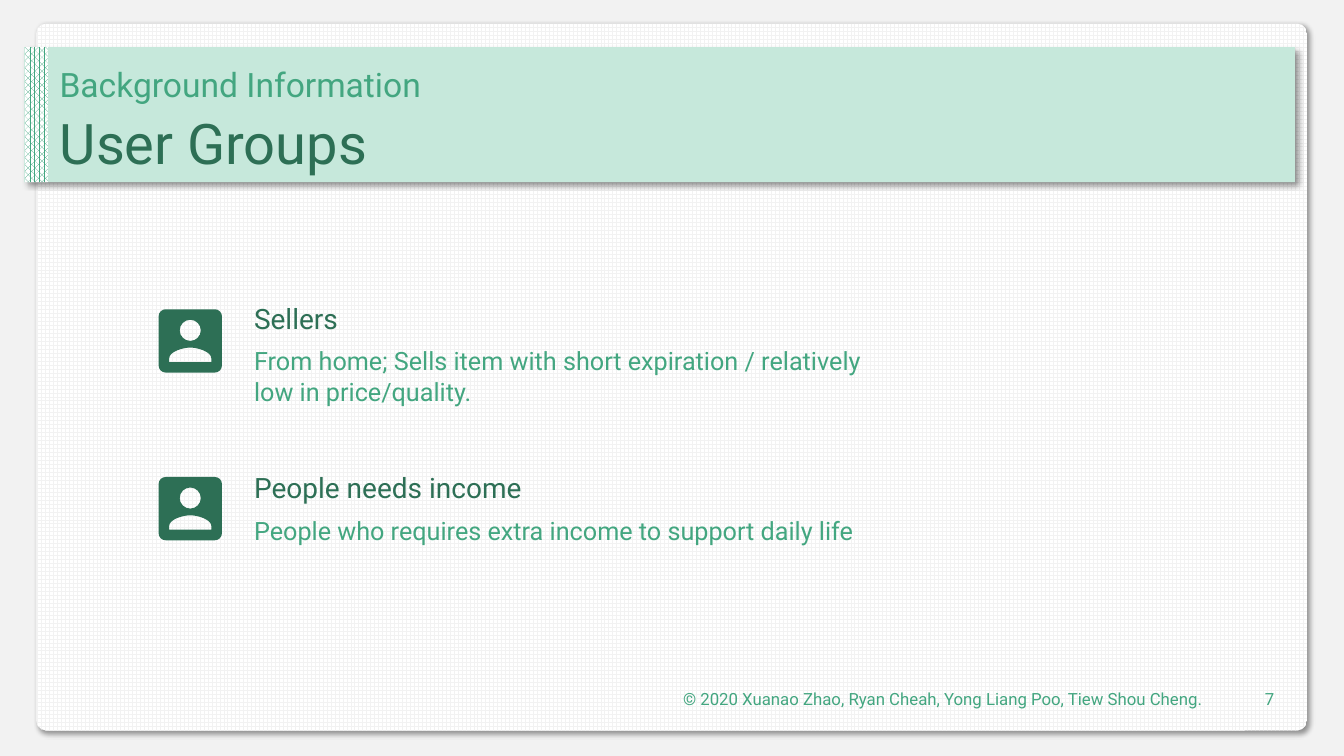
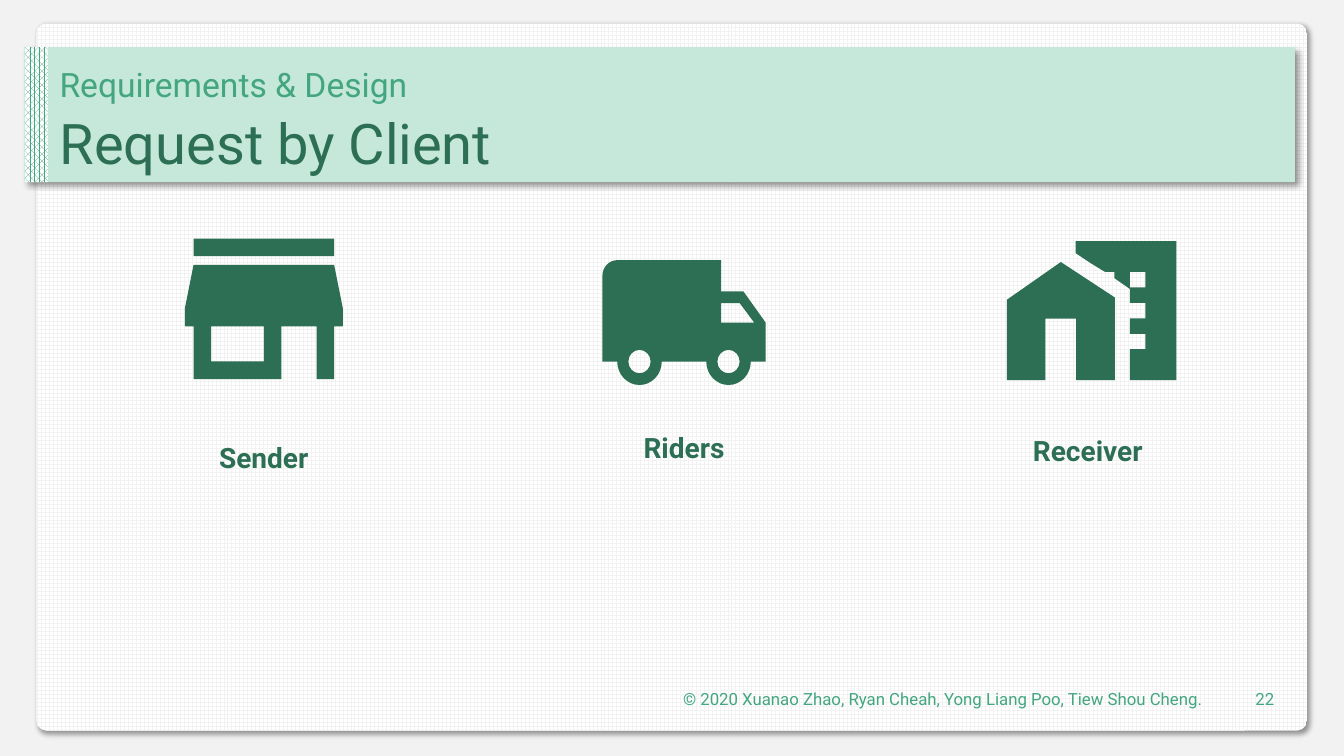
import math

import pptx
import pptx.dml.color
import pptx.enum.dml
import pptx.enum.shapes
import pptx.enum.text
import pptx.oxml
import pptx.oxml.ns
import pptx.util

Pt = pptx.util.Pt
qn = pptx.oxml.ns.qn
ALIGN = pptx.enum.text.PP_ALIGN
ANCHOR = pptx.enum.text.MSO_ANCHOR
FIT = pptx.enum.text.MSO_AUTO_SIZE
SHAPE = pptx.enum.shapes.MSO_SHAPE
PATTERN = pptx.enum.dml.MSO_PATTERN

FONT = "Roboto"
NAMESPACE = pptx.oxml.ns.nsdecls("a")
COLOURS = {
    "page": "F2F2F2",
    "paper": "FFFFFF",
    "band": "C6E8DB",
    "accent": "43A680",
    "dark": "2D6F55",
    "shadow": "000000",
}
COPYRIGHT = "© 2020 Xuanao Zhao, Ryan Cheah, Yong Liang Poo, Tiew Shou Cheng."


def colour(name):
    return pptx.dml.color.RGBColor.from_string(COLOURS[name])


# Icon outlines on a 24-unit grid: a pair is a corner,
# six numbers are a curve (two controls and an end)
def arc(x, y, radius, start, end):
    """A corner at the start angle, then one curve for each quarter turn."""
    turn = 90 if end > start else -90
    pull = 0.55 if turn > 0 else -0.55
    outline = []
    for angle in range(start, end + turn, turn):
        a = math.radians(angle)
        across, down = radius * math.cos(a), radius * math.sin(a)
        point = (x + across, y + down)
        if outline:
            arrive = (point[0] + pull * down, point[1] - pull * across)
            outline.append(leave + arrive + point)
        else:
            outline.append(point)
        leave = (point[0] - pull * down, point[1] + pull * across)
    return outline


def circle(x, y, radius):
    return arc(x, y, radius, 0, 360)


def rectangle(left, top, right, bottom):
    return [(left, top), (right, top), (right, bottom), (left, bottom)]


PERSON = [
    arc(5, 5, 2, 180, 270) + arc(19, 5, 2, 270, 360)
    + arc(19, 19, 2, 0, 90) + arc(5, 19, 2, 90, 180),
    circle(12, 9, 3),
    [(6, 17), (6, 15, 10, 13.9, 12, 13.9), (14, 13.9, 18, 15, 18, 17), (18, 18), (6, 18)],
]
STORE = [
    rectangle(4, 4, 20, 6),
    [(21, 14), (21, 12), (20, 7), (4, 7), (3, 12), (3, 14), (4, 14), (4, 20),
     (14, 20), (14, 14), (18, 14), (18, 20), (20, 20), (20, 14)],
    rectangle(6, 14, 12, 18),
]
VAN = [
    [(20, 8), (17, 8), (17, 4)] + arc(3, 6, 2, 270, 180) + [(1, 17)]
    + arc(6, 17, 3, 180, 0) + arc(18, 17, 3, 180, 0) + [(23, 17), (23, 12)],
    circle(6, 17, 1.5),
    circle(18, 17, 1.5),
    [(19.5, 9.5), (21.46, 12), (17, 12), (17, 9.5)],
]
HOUSE = [
    [(8, 6), (1, 10.8), (1, 21), (6, 21), (6, 13.2), (10, 13.2), (10, 21),
     (15, 21), (15, 10.5)],
]
OFFICE = [
    [(10, 3), (10, 4.57), (12, 5.9), (13.8, 7), (15, 7), (15, 7.8), (17, 9.2),
     (17, 11), (19, 11), (19, 13), (17, 13), (17, 15), (19, 15), (19, 17),
     (17, 17), (17, 21), (23, 21), (23, 3)],
    rectangle(17, 7, 19, 9),
]


def add_icon(page, outlines, left, top, width, height):
    xs = [x for outline in outlines for item in outline for x in item[::2]]
    ys = [y for outline in outlines for item in outline for y in item[1::2]]
    x_unit = width / (max(xs) - min(xs))
    y_unit = height / (max(ys) - min(ys))
    builder, count, curve_starts = None, 0, []
    for outline in outlines:
        points = []
        for item in outline:
            if len(item) == 6:
                curve_starts.append(count + len(points))
            points += [(Pt(left + (x - min(xs)) * x_unit), Pt(top + (y - min(ys)) * y_unit))
                       for x, y in zip(item[::2], item[1::2])]
        if builder is None:
            builder = page.shapes.build_freeform(*points[0])
        else:
            builder.move_to(*points[0])
        builder.add_line_segments(points[1:], close=True)
        count += len(points)
    icon = builder.convert_to_shape()
    bend(icon, curve_starts)
    icon.shadow.inherit = False
    icon.fill.solid()
    icon.fill.fore_color.rgb = colour("dark")
    icon.line.fill.background()


def bend(icon, curve_starts):
    """Join three line steps into one cubic curve at each start."""
    drawing = next(icon.element.spPr.iter(qn("a:path")))
    steps = [step for step in drawing if step.tag != qn("a:close")]
    for start in curve_starts:
        curve = pptx.oxml.parse_xml(f"<a:cubicBezTo {NAMESPACE}/>")
        steps[start].addprevious(curve)
        for step in steps[start:start + 3]:
            curve.append(step[0])
            drawing.remove(step)


# Text
def write(box, text, size, tone, bold=False, align=ALIGN.LEFT,
          anchor=ANCHOR.TOP, fit=FIT.NONE):
    frame = box.text_frame
    frame.word_wrap = True
    frame.auto_size = fit
    frame.vertical_anchor = anchor
    para = frame.paragraphs[0]
    para.alignment = align
    span = para.add_run()
    span.text = text
    span.font.name = FONT
    span.font.size = Pt(size)
    span.font.bold = bold
    span.font.color.rgb = colour(tone)
    return para


def add_text(page, place, text, size, tone, **style):
    box = page.shapes.add_textbox(*map(Pt, place))
    return write(box, text, size, tone, **style)


# Shared frame: card, title band and patterned strip
def add_panel(page, kind, place, fill, pattern=None, back=None, shadow=False):
    panel = page.shapes.add_shape(kind, *map(Pt, place))
    panel.line.fill.background()
    panel.shadow.inherit = False
    if pattern is None:
        panel.fill.solid()
    else:
        panel.fill.patterned()
        panel.fill.pattern = pattern
        panel.fill.back_color.rgb = colour(back)
    panel.fill.fore_color.rgb = colour(fill)
    if shadow:
        effect = pptx.oxml.parse_xml(
            f'<a:outerShdw {NAMESPACE} blurRad="{Pt(4)}" dist="{Pt(3)}" dir="2700000" '
            f'algn="tl" rotWithShape="0"><a:srgbClr val="{COLOURS["shadow"]}">'
            '<a:alpha val="40000"/></a:srgbClr></a:outerShdw>')
        panel.element.spPr.find(qn("a:effectLst")).append(effect)
    return panel


def dress_layout(layout, page):
    """Draw the frame on a page and move it to the layout, behind the title."""
    layout.background.fill.solid()
    layout.background.fill.fore_color.rgb = colour("page")
    for holder in list(layout.placeholders):
        if holder.placeholder_format.idx != 0:
            holder.element.getparent().remove(holder.element)
    card = add_panel(page, SHAPE.ROUNDED_RECTANGLE, (26, 16.8, 907.6, 505), "page",
                     PATTERN.LARGE_GRID, "paper", shadow=True)
    card.adjustments[0] = 0.014
    band = add_panel(page, SHAPE.RECTANGLE, (17.3, 33.7, 907.6, 96.4), "band", shadow=True)
    strip = add_panel(page, SHAPE.RECTANGLE, (17.8, 33.7, 16.5, 96.4), "accent",
                      PATTERN.PERCENT_70, "paper")
    for position, panel in enumerate((card, band, strip), start=2):
        layout.shapes.element.insert(position, panel.element)


def add_headings(page, section, heading, number):
    title = page.shapes.title
    title.left, title.top, title.width, title.height = map(Pt, (35.5, 78.5, 889, 51.1))
    lines = [
        write(title, heading, 40, "dark", anchor=ANCHOR.BOTTOM),
        add_text(page, (35.5, 38.9, 889, 39.6), section, 24, "accent",
                 anchor=ANCHOR.BOTTOM),
    ]
    for para in lines:
        para.line_spacing = 0.9
        para.space_before = Pt(10)
    for left, width, text in ((391.7, 474.5, COPYRIGHT), (874.8, 42.5, str(number))):
        add_text(page, (left, 484.9, width, 28.8), text, 12, "accent",
                 align=ALIGN.RIGHT, anchor=ANCHOR.MIDDLE)


# Slide contents
def fill_user_groups(page):
    groups = [
        ("Sellers",
         "From home; Sells item with short expiration / relatively low in price/quality.",
         211.7, 220.9, 51),
        ("People needs income",
         "People who requires extra income to support daily life",
         332.7, 340.7, 29),
    ]
    for name, detail, top, icon_top, height in groups:
        add_icon(page, PERSON, 113.3, icon_top, 45.2, 45.2)
        add_text(page, (174.4, top, 493, 31.7), name, 20, "dark", fit=FIT.SHAPE_TO_FIT_TEXT)
        add_text(page, (174.4, top + 31.7, 480, height), detail, 18, "accent",
                 fit=FIT.SHAPE_TO_FIT_TEXT)


def fill_client_roles(page):
    icons = [
        (STORE, 132, 170.5, 113, 100.3),
        (VAN, 430.3, 185.8, 116.6, 89.2),
        (HOUSE, 719.2, 187.2, 77.1, 84.3),
        (OFFICE, 768.4, 172.2, 71.9, 99.3),
    ]
    for outlines, *place in icons:
        add_icon(page, outlines, *place)
    labels = [
        ("Sender", 113.2, 311, 150.5),
        ("Riders", 440, 303.8, 97.2),
        ("Receiver", 690.3, 306, 173.5),
    ]
    for name, left, top, width in labels:
        add_text(page, (left, top, width, 32), name, 20, "dark", bold=True,
                 align=ALIGN.CENTER, fit=FIT.SHAPE_TO_FIT_TEXT)


def main():
    deck = pptx.Presentation()
    deck.slide_width, deck.slide_height = Pt(960), Pt(540)
    layout = deck.slide_layouts[5]
    slides = [
        ("Background Information", "User Groups", 7, fill_user_groups),
        ("Requirements & Design", "Request by Client", 22, fill_client_roles),
    ]
    for index, (section, heading, number, fill_content) in enumerate(slides):
        page = deck.slides.add_slide(layout)
        if index == 0:
            dress_layout(layout, page)
        add_headings(page, section, heading, number)
        fill_content(page)
    deck.save("out.pptx")


if __name__ == "__main__":
    main()
